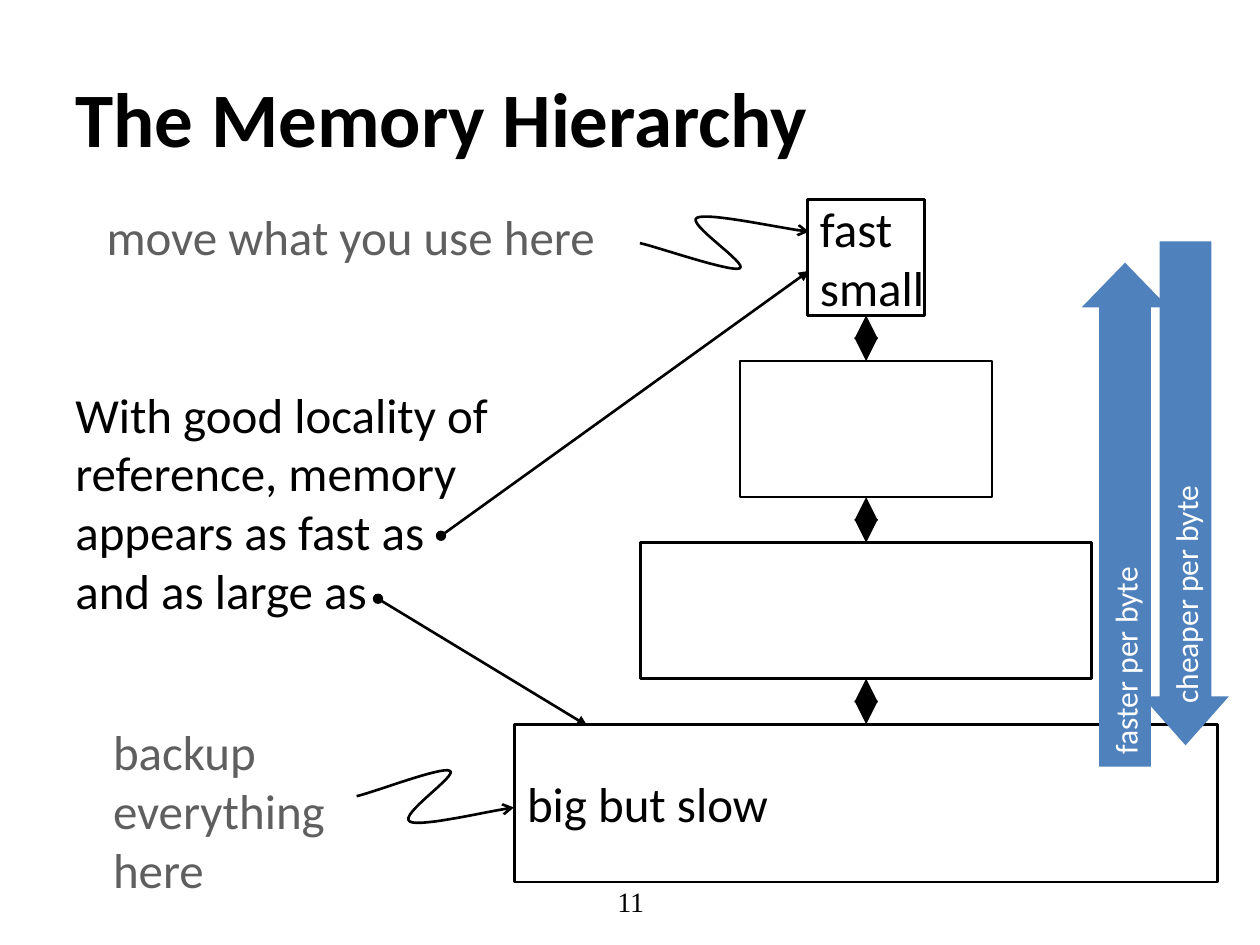
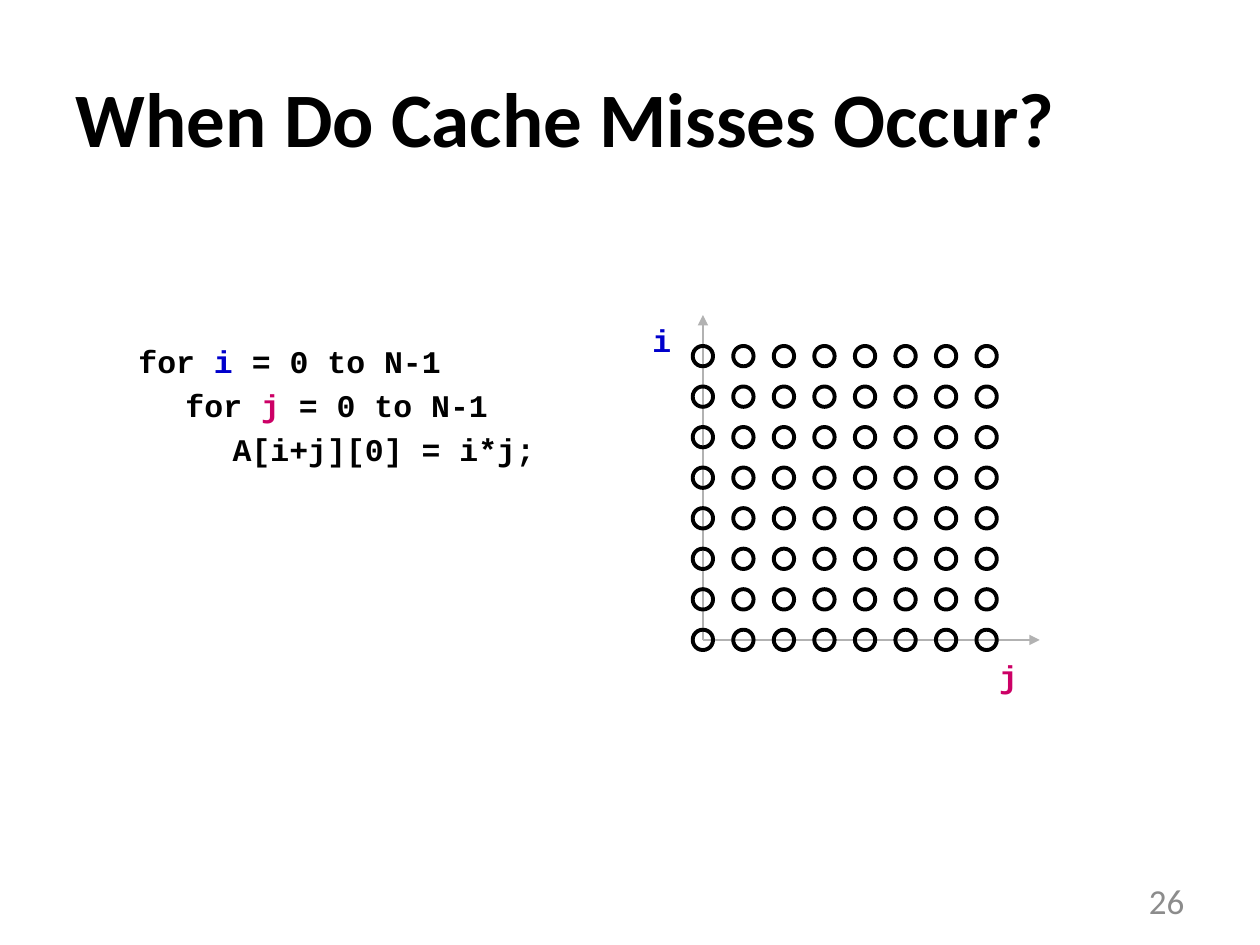
from itertools import pairwise, product

from lxml.etree import SubElement
from pptx import Presentation
from pptx.dml.color import RGBColor
from pptx.enum.shapes import MSO_CONNECTOR, MSO_SHAPE
from pptx.enum.text import MSO_ANCHOR as Anchor, MSO_AUTO_SIZE as AutoSize, PP_ALIGN as Align
from pptx.oxml.ns import qn
from pptx.util import Cm, Pt

BLACK = RGBColor(0x00, 0x00, 0x00)
WHITE = RGBColor(0xFF, 0xFF, 0xFF)
NOTE_GREY = RGBColor(0x5F, 0x5F, 0x5F)
NUMBER_GREY = RGBColor(0x8C, 0x8C, 0x8C)
AXIS_GREY = RGBColor(0xB2, 0xB2, 0xB2)
ARROW_BLUE = RGBColor(0x4F, 0x81, 0xBD)
I_BLUE = RGBColor(0x00, 0x00, 0xCC)
J_PINK = RGBColor(0xCC, 0x00, 0x66)

# All places are centimetres: left, top, width, height.
TITLE_BOX = (1.27, 0.76, 22.86, 3.18)

# Memory levels, top to bottom: text lines, width, height.
LEVELS = [
    (["fast", "small"], 2.36, 2.34),
    ([], 5.08, 2.74),
    ([], 9.09, 2.74),
    (["big but slow"], 14.17, 3.18),
]
LEVEL_CENTER, LEVELS_TOP, LEVEL_GAP = 17.46, 4.02, 0.92

NOTES = [
    (["move what you use here"], (1.9, 4.04, 10.46, 1.45)),
    (["backup", "everything", "here"], (2.03, 14.43, 4.83, 3.84)),
]
LOCALITY = ["With good locality of reference, memory appears as fast as", "and as large as"]
LOCALITY_BOX = (1.27, 7.62, 9.4, 5.05)
LOCALITY_POINTERS = [((8.89, 10.8), (16.31, 5.46)), ((7.62, 12.07), (11.84, 14.63))]

# Chains of cubic curves: a start, then two handles and an end for each.
SQUIGGLES = [
    [(12.9, 4.9), (13.26, 4.98), (14.73, 5.49), (14.91, 5.41), (15.11, 5.33),
     (13.82, 4.5), (14.05, 4.39), (14.27, 4.27), (15.82, 4.62), (16.31, 4.67)],
    [(7.19, 16.05), (7.52, 15.98), (8.92, 15.44), (9.07, 15.54), (9.25, 15.62),
     (8.03, 16.43), (8.26, 16.56), (8.46, 16.69), (9.93, 16.33), (10.36, 16.28)],
]
CURVE_STEPS = 16

# Turned a quarter to the left, so the right arrow points up.
TREND_ARROWS = [
    ("faster per byte", MSO_SHAPE.RIGHT_ARROW, (17.6, 9.5, 10.16, 1.75), 0.515),
    ("cheaper per byte", MSO_SHAPE.LEFT_ARROW, (18.82, 9.07, 10.16, 1.75), 0.565),
]

LOOP_CODE = [
    [("for ", BLACK), ("i", I_BLUE), (" = 0 to N-1", BLACK)],
    [("\tfor ", BLACK), ("j", J_PINK), (" = 0 to N-1", BLACK)],
    ["\t\tA[i+j][0] = i*j;"],
]
CODE_BOX = (2.54, 6.98, 9.32, 2.62)
CODE_TABS = (0.95, 1.9)
AXIS_ORIGIN = (14.17, 12.9)
AXIS_ENDS = [(14.17, 6.35), (20.96, 12.9)]
AXIS_LABELS = [("i", I_BLUE, (12.9, 6.55, 0.81, 0.79)), ("j", J_PINK, (19.89, 13.33, 0.81, 0.79))]
GRID_COUNT, GRID_SPAN, DOT_SIZE = 8, 5.72, 0.41


def lengths(values):
    return [Cm(value) for value in values]


def write(shape, paragraphs, size=28, font="Calibri", color=BLACK, bold=False, align=Align.LEFT,
          anchor=Anchor.TOP, wrap=True, grow=False, spacing=None, before=0, tabs=()):
    """Fill a shape; a paragraph is a string or a list of strings and (text, colour) spans."""
    frame = shape.text_frame
    frame.word_wrap = wrap
    frame.auto_size = AutoSize.SHAPE_TO_FIT_TEXT if grow else AutoSize.NONE
    frame.vertical_anchor = anchor
    for index, spans in enumerate(paragraphs):
        para = frame.add_paragraph() if index else frame.paragraphs[0]
        para.alignment = align
        if spacing:
            para.line_spacing = spacing
        if before and index:
            para.space_before = Pt(before)
        if tabs:
            stops = SubElement(para._p.get_or_add_pPr(), qn("a:tabLst"))
            for stop in tabs:
                SubElement(stops, qn("a:tab"), pos=str(Cm(stop)), algn="l")
        for part in [spans] if isinstance(spans, str) else spans:
            text, span_color = (part, color) if isinstance(part, str) else part
            span = para.add_run()
            span.text = text
            span.font.name = font
            span.font.size = Pt(size)
            span.font.bold = bold
            span.font.color.rgb = span_color


def add_text(page, place, paragraphs, **style):
    write(page.shapes.add_textbox(*lengths(place)), paragraphs, **style)


def write_code(page, place, paragraphs, **style):
    add_text(page, place, paragraphs, size=18, font="Courier New", bold=True, grow=True,
             spacing=0.7, before=10, tabs=CODE_TABS, **style)


def add_page(deck, title):
    page = deck.slides.add_slide(deck.slide_layouts[5])
    heading = page.shapes.title
    heading.left, heading.top, heading.width, heading.height = lengths(TITLE_BOX)
    write(heading, [title], size=44, bold=True, anchor=Anchor.MIDDLE)
    return page


def paint(shape, fill=None, line=None, width=1.5):
    shape.shadow.inherit = False
    if fill is None:
        shape.fill.background()
    else:
        shape.fill.solid()
        shape.fill.fore_color.rgb = fill
    if line is None:
        shape.line.fill.background()
    else:
        shape.line.color.rgb = line
        shape.line.width = Pt(width)


def add_shape(page, kind, place, **look):
    shape = page.shapes.add_shape(kind, *lengths(place))
    paint(shape, **look)
    return shape


def add_ends(shape, head=None, tail=None):
    outline = shape.element.spPr.find(qn("a:ln"))
    for tag, end in (("a:headEnd", head), ("a:tailEnd", tail)):
        if end:
            SubElement(outline, qn(tag), type=end)


def add_line(page, start, end, color=BLACK, width=1.5, head=None, tail="triangle"):
    line = page.shapes.add_connector(MSO_CONNECTOR.STRAIGHT, *lengths(start + end))
    line.line.color.rgb = color
    line.line.width = Pt(width)
    add_ends(line, head, tail)
    SubElement(line.element.spPr, qn("a:effectLst"))
    return line


def curve_points(knots):
    """Sample a chain of cubic curves into points."""
    points = [knots[0]]
    for first in range(0, len(knots) - 1, 3):
        corners = knots[first:first + 4]
        for step in range(1, CURVE_STEPS + 1):
            t = step / CURVE_STEPS
            weights = ((1 - t) ** 3, 3 * t * (1 - t) ** 2, 3 * t * t * (1 - t), t ** 3)
            points.append(tuple(sum(w * corner[axis] for w, corner in zip(weights, corners))
                                for axis in (0, 1)))
    return points


def add_squiggle(page, knots):
    start, *rest = [lengths(point) for point in curve_points(knots)]
    builder = page.shapes.build_freeform(*start, scale=1.0)
    builder.add_line_segments(rest, close=False)
    squiggle = builder.convert_to_shape()
    paint(squiggle, line=BLACK)
    add_ends(squiggle, tail="arrow")


def add_levels(page):
    boxes, top = [], LEVELS_TOP
    for lines, width, height in LEVELS:
        box = add_shape(page, MSO_SHAPE.RECTANGLE, (LEVEL_CENTER - width / 2, top, width, height),
                        fill=None if lines else WHITE, line=BLACK)
        write(box, lines, anchor=Anchor.MIDDLE, wrap=False)
        boxes.append(box)
        top += height + LEVEL_GAP
    for upper, lower in pairwise(boxes):
        link = add_line(page, (0, 0), (1, 1), width=4.5, head="triangle")
        link.begin_connect(upper, 2)
        link.end_connect(lower, 0)


def build_hierarchy(deck):
    page = add_page(deck, "The Memory Hierarchy")
    add_text(page, (8.69, 17.65, 8.05, 1.02), ["11"], size=16, font="Times New Roman",
             align=Align.CENTER, anchor=Anchor.MIDDLE)
    add_levels(page)
    for lines, place in NOTES:
        add_text(page, place, lines, color=NOTE_GREY, wrap=False, grow=True)
    for knots in SQUIGGLES:
        add_squiggle(page, knots)
    add_text(page, LOCALITY_BOX, LOCALITY, grow=True)
    for start, end in LOCALITY_POINTERS:
        add_line(page, start, end, head="oval")
    for label, kind, place, head_length in TREND_ARROWS:
        arrow = add_shape(page, kind, place, fill=ARROW_BLUE)
        arrow.rotation = 270
        arrow.adjustments[0] = 0.596
        arrow.adjustments[1] = head_length
        write(arrow, [label], size=18, color=WHITE, anchor=Anchor.MIDDLE, wrap=False)


def build_misses(deck):
    page = add_page(deck, "When Do Cache Misses Occur?")
    write_code(page, CODE_BOX, LOOP_CODE)
    for end in AXIS_ENDS:
        add_line(page, AXIS_ORIGIN, end, color=AXIS_GREY)
    for label, color, place in AXIS_LABELS:
        write_code(page, place, [label], color=color)
    step = GRID_SPAN / (GRID_COUNT - 1)
    left, bottom = (value - DOT_SIZE / 2 for value in AXIS_ORIGIN)
    for i, j in product(range(GRID_COUNT), repeat=2):
        place = (left + j * step, bottom - i * step, DOT_SIZE, DOT_SIZE)
        add_shape(page, MSO_SHAPE.OVAL, place, line=BLACK, width=2.25)
    add_text(page, (18.21, 17.65, 5.92, 1.02), ["26"], size=20, color=NUMBER_GREY,
             align=Align.RIGHT, anchor=Anchor.MIDDLE)


def main():
    deck = Presentation()
    deck.slide_width, deck.slide_height = Cm(25.4), Cm(19.05)
    build_hierarchy(deck)
    build_misses(deck)
    deck.save("out.pptx")


if __name__ == "__main__":
    main()
